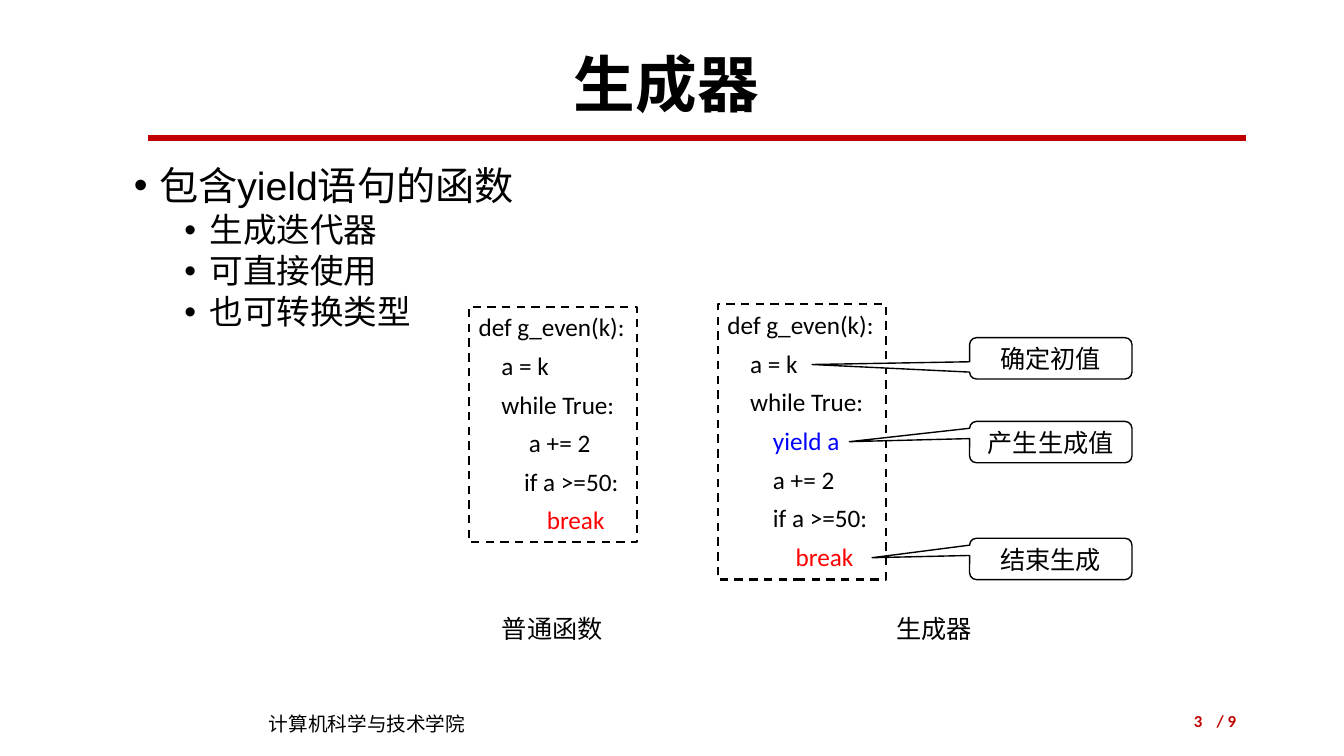
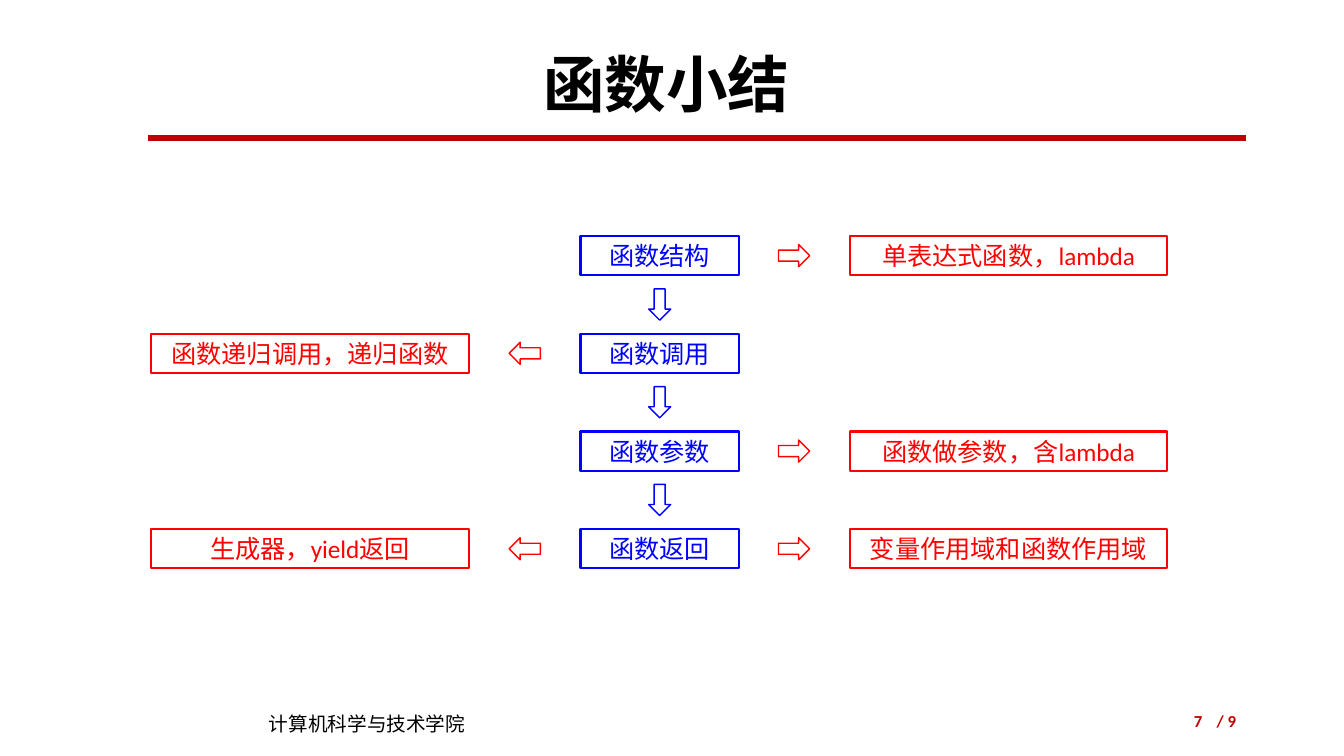
from dataclasses import dataclass

from lxml.etree import SubElement
from pptx import Presentation
from pptx.dml.color import RGBColor
from pptx.enum.dml import MSO_LINE
from pptx.enum.shapes import MSO_CONNECTOR, MSO_SHAPE
from pptx.enum.text import MSO_ANCHOR, PP_ALIGN
from pptx.oxml.ns import qn
from pptx.util import Pt


@dataclass(frozen=True)
class Theme:
    # Colours
    black: str = "000000"
    white: str = "FFFFFF"
    crimson: str = "C00000"
    red: str = "FF0000"
    blue: str = "0000FF"
    # Fonts
    latin: str = "Calibri"
    body_latin: str = "Arial"
    chinese: str = "Noto Sans CJK SC"
    # Type sizes
    title: int = 44
    topic: int = 28
    subtopic: int = 24
    label: int = 18
    footer: int = 14
    number: int = 12


THEME = Theme()
PAGE_TOTAL = 9


def apply(target, values):
    for name, value in values.items():
        setattr(target, name, value)


class SlideWriter:
    def __init__(self, deck):
        self.deck = deck
        self.page = None

    def start(self, title, number):
        """Add a slide with the shared title, rule and footer."""
        self.page = self.deck.slides.add_slide(self.deck.slide_layouts[6])
        self.text((185, 503, 210, 28), ["计算机科学与技术学院"],
                  size=THEME.footer, font=THEME.chinese)
        self.rule((106, 98.6), (890, 98.6))
        for area, words in (((836, 500.4, 54, 28.8), f"/ {PAGE_TOTAL}"),
                            ((678, 500.4, 188, 28.8), str(number))):
            self.text(area, [words], size=THEME.number, color=THEME.crimson,
                      bold=True, align=PP_ALIGN.RIGHT)
        self.text((62, 28.8, 828, 67.7), [title], size=THEME.title, bold=True,
                  align=PP_ALIGN.CENTER, line_spacing=0.9)

    def span(self, para, words, size, color, font=THEME.latin, bold=False):
        span = para.add_run()
        span.text = words
        apply(span.font, {"size": Pt(size), "bold": bold, "name": font})
        span.font.color.rgb = RGBColor.from_string(color)
        SubElement(span.font._element, qn("a:ea"), typeface=THEME.chinese)

    def fill_text(self, box, lines, size=THEME.label, color=THEME.black,
                  font=THEME.latin, bold=False, align=PP_ALIGN.LEFT, wrap=True,
                  anchor=MSO_ANCHOR.MIDDLE, gap=0, line_spacing=1.0, tab=None):
        """Write lines; a line is a string or a (string, colour) pair."""
        frame = box.text_frame
        apply(frame, {"word_wrap": wrap, "vertical_anchor": anchor})
        for index, line in enumerate(lines):
            words, line_color = (line, color) if isinstance(line, str) else line
            para = frame.add_paragraph() if index else frame.paragraphs[0]
            if tab and "\t" in words:
                stops = SubElement(para._p.get_or_add_pPr(), qn("a:tabLst"))
                SubElement(stops, qn("a:tab"), pos=str(Pt(tab)), algn="l")
            apply(para, {"alignment": align, "line_spacing": line_spacing,
                         "space_before": Pt(gap if index else 0)})
            self.span(para, words, size, line_color, font, bold)

    def text(self, area, lines, **style):
        box = self.page.shapes.add_textbox(*map(Pt, area))
        self.fill_text(box, lines, **style)

    def bullets(self, area, items):
        """Write (level, words) items as a bulleted list."""
        frame = self.page.shapes.add_textbox(*map(Pt, area)).text_frame
        frame.word_wrap = True
        for index, (level, words) in enumerate(items):
            para = frame.add_paragraph() if index else frame.paragraphs[0]
            props = para._p.get_or_add_pPr()
            props.set("marL", str(Pt(18 + 36 * level)))
            props.set("indent", str(Pt(-18)))
            SubElement(props, qn("a:buFont"), typeface=THEME.body_latin)
            SubElement(props, qn("a:buChar"), char="•")
            apply(para, {"level": level, "alignment": PP_ALIGN.JUSTIFY,
                         "line_spacing": 0.9,
                         "space_before": Pt(3.4 if index else 0)})
            size = THEME.subtopic if level else THEME.topic
            self.span(para, words, size, THEME.black, THEME.body_latin)

    def rule(self, start, end):
        line = self.page.shapes.add_connector(
            MSO_CONNECTOR.STRAIGHT, *map(Pt, start + end))
        line.line.width = Pt(4.5)
        line.line.color.rgb = RGBColor.from_string(THEME.crimson)
        SubElement(line._element.spPr, qn("a:effectLst"))

    def shape(self, kind, area, color, width):
        shape = self.page.shapes.add_shape(kind, *map(Pt, area))
        shape.shadow.inherit = False
        shape.fill.solid()
        shape.fill.fore_color.rgb = RGBColor.from_string(THEME.white)
        shape.line.color.rgb = RGBColor.from_string(color)
        shape.line.width = Pt(width)
        return shape

    def box(self, area, words, color):
        box = self.shape(MSO_SHAPE.RECTANGLE, area, color, 1.5)
        self.fill_text(box, [words], color=color, align=PP_ALIGN.CENTER)

    def arrow(self, kind, center, size, color):
        area = (center[0] - size[0] / 2, center[1] - size[1] / 2, *size)
        self.shape(kind, area, color, 1)

    def code(self, area, lines):
        box = self.shape(MSO_SHAPE.RECTANGLE, area, THEME.black, 1.5)
        box.line.dash_style = MSO_LINE.DASH
        self.fill_text(box, lines, wrap=False, anchor=MSO_ANCHOR.TOP, gap=6,
                       tab=36)

    def callout(self, area, words, tip):
        callout = self.shape(MSO_SHAPE.ROUNDED_RECTANGULAR_CALLOUT, area,
                             THEME.black, 1)
        for index, value in enumerate(tip):
            callout.adjustments[index] = value
        self.fill_text(callout, [words], align=PP_ALIGN.CENTER)


def generator_slide(writer):
    writer.start("生成器", 3)
    writer.bullets((88.6, 115.2, 801, 371), [
        (0, "包含yield语句的函数"),
        (1, "生成迭代器"),
        (1, "可直接使用"),
        (1, "也可转换类型"),
    ])

    # Code listings
    opening = ["def g_even(k):", "    a = k", "    while True:"]
    closing = ["        if a >=50:", ("            break", THEME.red)]
    writer.code((512.6, 217.4, 120.2, 196.6),
                [*opening, ("        yield a", THEME.blue), "        a += 2",
                 *closing])
    writer.code((334.8, 219, 120.2, 168.5), [*opening, "\ta += 2", *closing])

    # Callouts on the generator listing
    for top, words, tip in ((241.2, "确定初值", (-1.47, 0.15)),
                            (301, "产生生成值", (-1.24, -0.01)),
                            (384.5, "结束生成", (-1.1, -0.03))):
        writer.callout((692.6, top, 116, 29.5), words, tip)

    # Captions
    for left, width, words in ((351.4, 87, "普通函数"), (633, 69, "生成器")):
        writer.text((left, 432, width, 34), [words], wrap=False)


def summary_slide(writer):
    writer.start("函数小结", 7)
    first_center, step, height = 182.6, 69.8, 28
    arrow_length, arrow_width = 22.3, 15.8
    flat = (arrow_length, arrow_width)
    rows = [
        (None, "函数结构", "单表达式函数，lambda"),
        ("函数递归调用，递归函数", "函数调用", None),
        (None, "函数参数", "函数做参数，含lambda"),
        ("生成器，yield返回", "函数返回", "变量作用域和函数作用域"),
    ]
    for index, (left_words, topic, right_words) in enumerate(rows):
        middle = first_center + index * step
        top = middle - height / 2
        # Main chain
        writer.box((414.7, top, 113, height), topic, THEME.blue)
        if index:
            writer.arrow(MSO_SHAPE.DOWN_ARROW, (471.2, middle - step / 2),
                         (arrow_width, arrow_length), THEME.blue)
        # Side notes
        for words, left, kind, arrow_x in (
                (left_words, 108, MSO_SHAPE.LEFT_ARROW, 374.8),
                (right_words, 607, MSO_SHAPE.RIGHT_ARROW, 567.2)):
            if words:
                writer.box((left, top, 226.8, height), words, THEME.red)
                writer.arrow(kind, (arrow_x, middle), flat, THEME.red)


def main():
    deck = Presentation()
    apply(deck, {"slide_width": Pt(960), "slide_height": Pt(540)})
    writer = SlideWriter(deck)
    generator_slide(writer)
    summary_slide(writer)
    deck.save("out.pptx")


if __name__ == "__main__":
    main()
